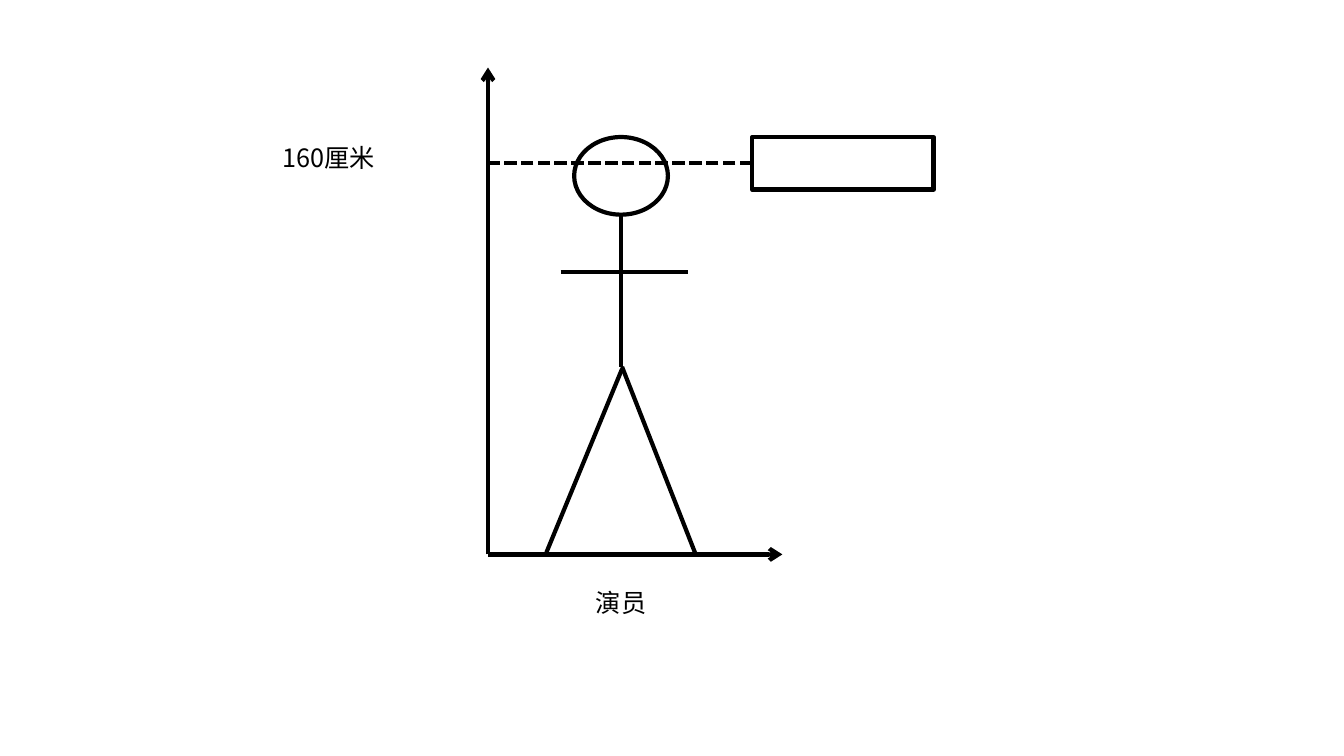
from dataclasses import dataclass
from lxml.etree import SubElement as Sub
from pptx import Presentation
from pptx.dml.color import RGBColor as Rgb
from pptx.enum.dml import MSO_LINE as Dash
from pptx.enum.shapes import MSO_CONNECTOR as Conn, MSO_SHAPE as Shape
from pptx.enum.text import MSO_AUTO_SIZE as Fit, PP_ALIGN as Align
from pptx.oxml.ns import qn
from pptx.util import Inches, Pt


@dataclass(frozen=True)
class Theme:
    ink: Rgb = Rgb(0, 0, 0)
    font: str = "Noto Sans CJK JP"
    size: int = 18
    line: int = 3


# Content
HEIGHT = "160厘米"
ACTOR = "演员"

# Key lines of the drawing, in inches
WIDE, HIGH = 13.33, 7.5
LEFT, FLOOR = 4.84, 5.5      # where the axes meet
TOP, RIGHT = 0.67, 7.76      # axis tips
MID = 6.16                   # spine of the figure
CROWN, CHIN = 1.36, 2.13     # head
ARMS, HIP = 2.7, 3.64
HEAD, BOX, TEXT = 0.93, (1.8, 0.52), (1.97, 0.4)
BOX_X = 7.46
EYE = CROWN + BOX[1] / 2     # height mark, middle of the box

# (start, end, style)
LINES = [
    ((LEFT, FLOOR), (RIGHT, FLOOR), "arrow"),
    ((LEFT, FLOOR), (LEFT, TOP), "arrow"),
    ((MID, CHIN), (MID, HIP), "plain"),
    ((MID - 0.6, ARMS), (MID + 0.66, ARMS), "plain"),
    ((MID + 0.01, HIP + 0.02), (MID - 0.74, FLOOR - 0.02), "plain"),
    ((MID + 0.01, HIP), (MID + 0.74, FLOOR), "plain"),
    ((BOX_X, EYE), (LEFT, EYE), "dash"),
]
# (preset, left, top, width, height)
SHAPES = [
    (Shape.OVAL, MID - HEAD / 2, CROWN, HEAD, CHIN - CROWN),
    (Shape.RECTANGLE, BOX_X, CROWN, *BOX),
]
# (words, left, top, alignment)
LABELS = [
    (HEIGHT, 2.7, CROWN, Align.LEFT),
    (ACTOR, MID - TEXT[0] / 2, FLOOR + 0.28, Align.CENTER),
]

theme = Theme()


def inch(*vals):
    return [Inches(v) for v in vals]


def ink(line):
    line.color.rgb = theme.ink
    line.width = Pt(theme.line)


def draw_line(slide, start, end, style):
    link = slide.shapes.add_connector(Conn.STRAIGHT, *inch(*start, *end))
    ink(link.line)
    if style == "dash":
        link.line.dash_style = Dash.SQUARE_DOT
    if style == "arrow":
        Sub(link.line._get_or_add_ln(), qn("a:tailEnd"), type="arrow")
    Sub(link._element.spPr, qn("a:effectLst"))


def draw_shape(slide, kind, *area):
    shape = slide.shapes.add_shape(kind, *inch(*area))
    shape.shadow.inherit = False
    shape.fill.background()
    ink(shape.line)


def draw_label(slide, words, left, top, align):
    frame = slide.shapes.add_textbox(*inch(left, top, *TEXT)).text_frame
    frame.word_wrap = True
    frame.auto_size = Fit.SHAPE_TO_FIT_TEXT
    para = frame.paragraphs[0]
    para.alignment = align
    run = para.add_run()
    run.text = words
    run.font.size = Pt(theme.size)
    run.font.color.rgb = theme.ink
    run.font.name = theme.font
    # East Asian glyphs take their own font entry
    Sub(run.font._element, qn("a:ea"), typeface=theme.font)


def main():
    deck = Presentation()
    deck.slide_width, deck.slide_height = inch(WIDE, HIGH)
    slide = deck.slides.add_slide(deck.slide_layouts[6])
    # Head and box, then axes and limbs, then labels
    for draw, parts in ((draw_shape, SHAPES), (draw_line, LINES),
                        (draw_label, LABELS)):
        for part in parts:
            draw(slide, *part)
    deck.save("out.pptx")


if __name__ == "__main__":
    main()
